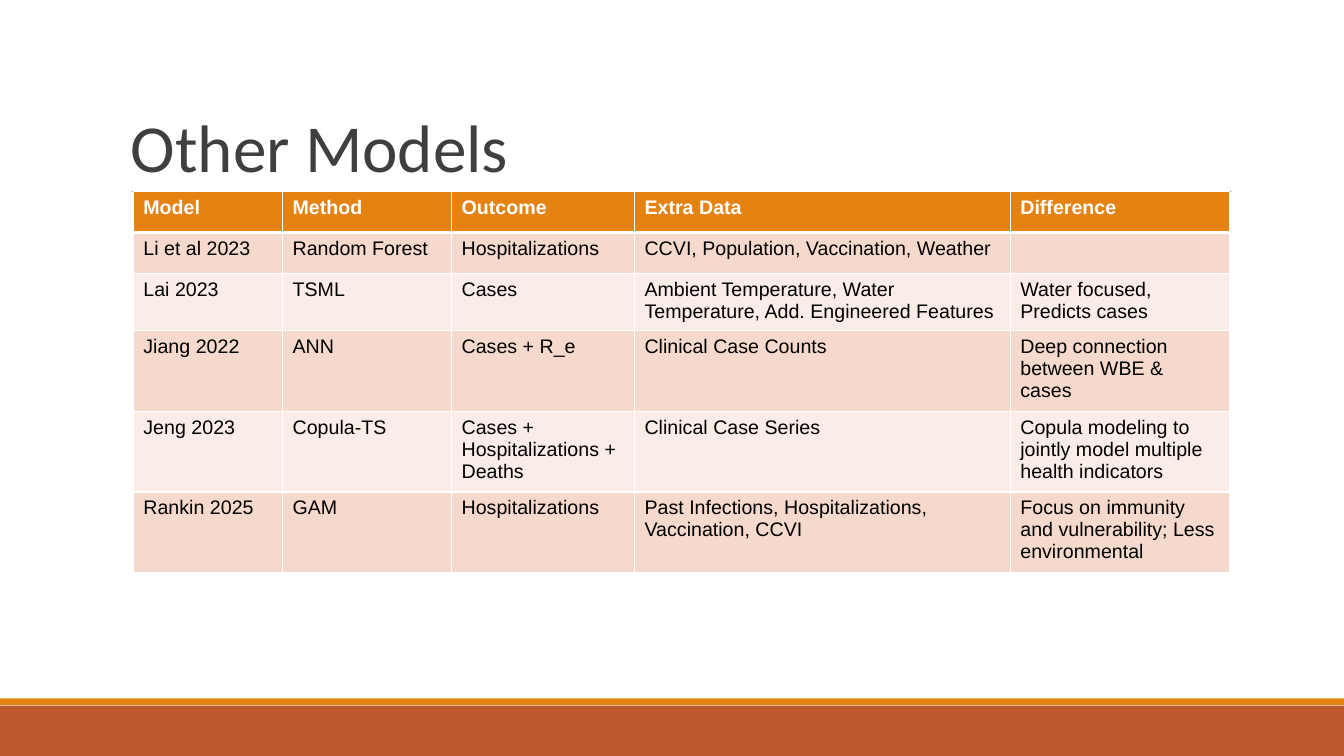
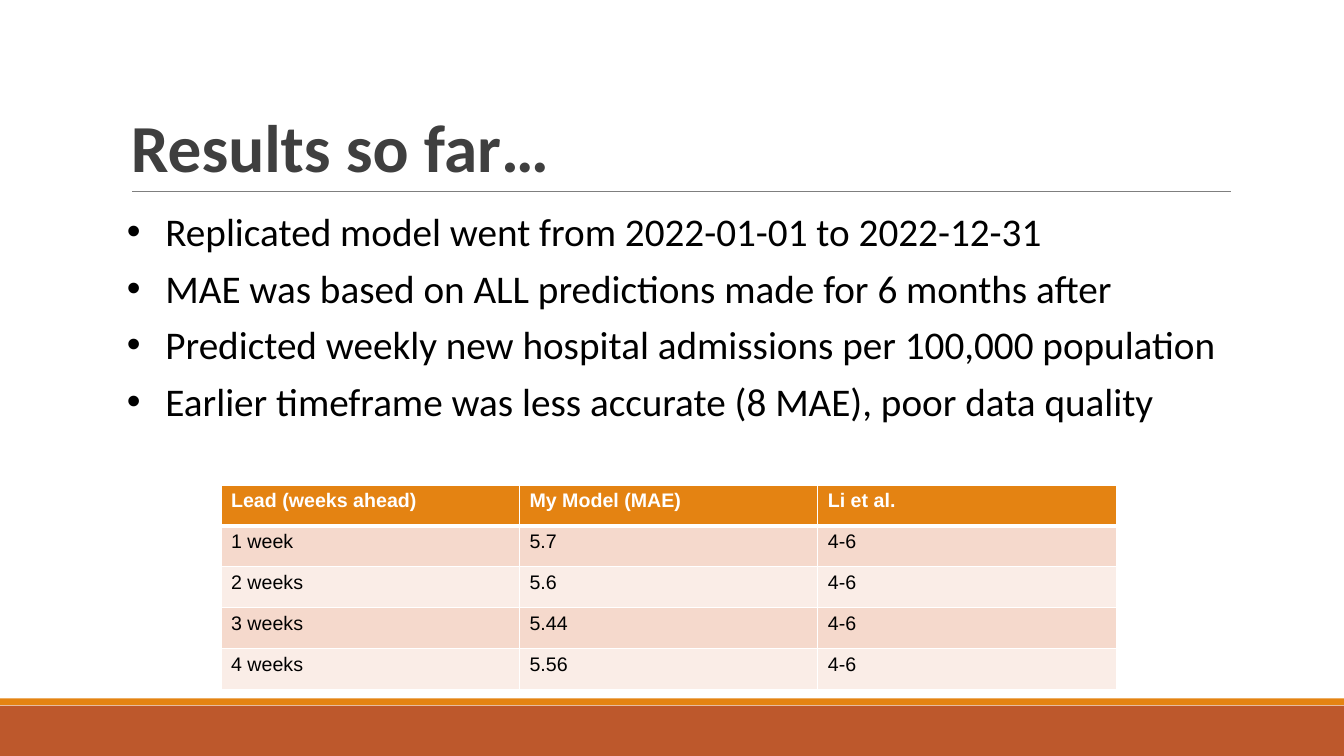
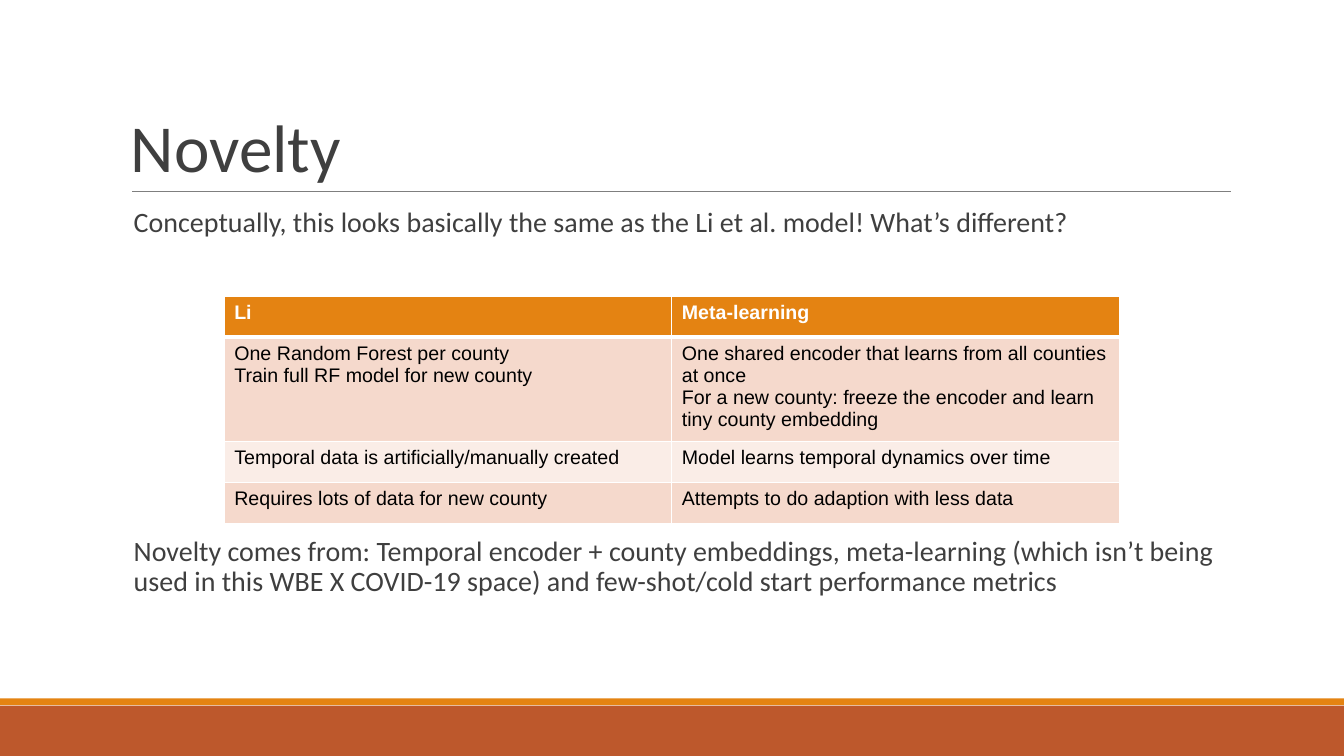
from lxml.etree import SubElement
from pptx import Presentation
from pptx.dml.color import RGBColor
from pptx.enum.shapes import MSO_CONNECTOR, MSO_SHAPE
from pptx.enum.text import MSO_ANCHOR
from pptx.oxml.ns import qn
from pptx.util import Cm, Pt

RUST = RGBColor(0xBD, 0x58, 0x2C)
ORANGE = RGBColor(0xE4, 0x83, 0x12)
GREY = RGBColor(0x7F, 0x7F, 0x7F)
CHARCOAL = RGBColor(0x3F, 0x3F, 0x3F)
BLACK = RGBColor(0, 0, 0)
WHITE = RGBColor(0xFF, 0xFF, 0xFF)
PEACH = RGBColor(0xF5, 0xD9, 0xCC)
BLUSH = RGBColor(0xFA, 0xED, 0xE7)

PAGE_WIDTH, PAGE_HEIGHT = Cm(33.87), Cm(19.05)
TEXT_LEFT, TEXT_WIDTH = Cm(3.05), Cm(27.94)
RULE_LEFT, RULE_RIGHT, RULE_TOP = Cm(3.33), Cm(31.01), Cm(4.83)
ROW_HEIGHT = Cm(1.03)

TITLE = {"name": "Calibri", "size": Pt(48), "bold": False}
BODY = {"name": "Calibri", "size": Pt(20)}
BULLET = {"name": "Calibri", "size": Pt(28)}
HEADER_CELL = {"name": "Arial", "size": Pt(14), "bold": True}
BODY_CELL = {"name": "Arial", "size": Pt(14), "bold": False}


def apply_format(target, values):
    for name, value in values.items():
        setattr(target, name, value)


def write_para(para, text, font_format, color):
    para.text = text
    for span in para.runs:
        apply_format(span.font, font_format)
        span.font.color.rgb = color


def add_text(page, area, lines, font_format, color, spacing, frame_format):
    box = page.shapes.add_textbox(*area)
    frame = box.text_frame
    apply_format(frame, {"word_wrap": True, **frame_format})
    for index, line in enumerate(lines):
        para = frame.add_paragraph() if index else frame.paragraphs[0]
        write_para(para, line, font_format, color)
        para.line_spacing = spacing
    return frame


def add_band(page, top, height, color):
    band = page.shapes.add_shape(MSO_SHAPE.RECTANGLE, 0, top, PAGE_WIDTH, height)
    band.shadow.inherit = False
    band.fill.solid()
    band.fill.fore_color.rgb = color
    band.line.fill.background()


def add_page(deck, title, **title_format):
    page = deck.slides.add_slide(deck.slide_layouts[6])
    add_band(page, Cm(17.78), PAGE_HEIGHT - Cm(17.78), RUST)
    add_band(page, Cm(17.6), Cm(0.17), ORANGE)
    rule = page.shapes.add_connector(
        MSO_CONNECTOR.STRAIGHT, RULE_LEFT, RULE_TOP, RULE_RIGHT, RULE_TOP)
    rule.line.color.rgb = GREY
    rule.line.width = Pt(0.75)
    SubElement(rule._element.spPr, qn("a:effectLst"))
    add_text(page, (TEXT_LEFT, Cm(0.79), TEXT_WIDTH, Cm(4.04)), [title],
             {**TITLE, **title_format}, CHARCOAL, 0.85,
             {"vertical_anchor": MSO_ANCHOR.BOTTOM})
    return page


def set_borders(cell, widths):
    properties = cell._tc.get_or_add_tcPr()
    for position, (side, width) in enumerate(widths.items()):
        edge = properties.makeelement(qn(f"a:{side}"), {"w": str(Pt(width))})
        fill = SubElement(edge, qn("a:solidFill"))
        SubElement(fill, qn("a:srgbClr"), val=str(WHITE))
        properties.insert(position, edge)


def add_grid(page, left, top, column_widths, rows):
    table = page.shapes.add_table(
        len(rows), len(column_widths), left, top,
        sum(column_widths), ROW_HEIGHT * len(rows)).table
    for column, width in zip(table.columns, column_widths):
        column.width = width
    for row_index, texts in enumerate(rows):
        table.rows[row_index].height = ROW_HEIGHT
        is_header = row_index == 0
        fill_color = ORANGE if is_header else (BLUSH, PEACH)[row_index % 2]
        borders = {"lnL": 1, "lnR": 1, "lnT": 3 if row_index == 1 else 1,
                   "lnB": 3 if is_header else 1}
        for cell, text in zip(table.rows[row_index].cells, texts):
            cell.fill.solid()
            cell.fill.fore_color.rgb = fill_color
            set_borders(cell, borders)
            write_para(cell.text_frame.paragraphs[0], text,
                       HEADER_CELL if is_header else BODY_CELL,
                       WHITE if is_header else BLACK)


def add_bullets(page, area, lines):
    margins = dict.fromkeys(
        ("margin_left", "margin_top", "margin_right", "margin_bottom"), Cm(0.15))
    frame = add_text(page, area, lines, BULLET, BLACK, 1.2,
                     {"vertical_anchor": MSO_ANCHOR.MIDDLE, **margins})
    for para in frame.paragraphs:
        properties = para._p.get_or_add_pPr()
        properties.set("marL", str(Cm(0.97)))
        properties.set("indent", str(-Cm(1.02)))
        color = SubElement(properties, qn("a:buClr"))
        SubElement(color, qn("a:srgbClr"), val=str(BLACK))
        SubElement(properties, qn("a:buFont"), typeface="Arial")
        SubElement(properties, qn("a:buChar"), char="•")


def add_statement(page, top, height, text):
    add_text(page, (TEXT_LEFT, top, TEXT_WIDTH, height), [text], BODY, CHARCOAL, 0.9,
             {"margin_left": Cm(0.32), "margin_right": 0})


def build_models(deck):
    page = add_page(deck, "Other Models")
    widths = [Cm(width) for width in (3.76, 4.26, 4.61, 9.47, 5.53)]
    add_grid(page, Cm(3.36), RULE_TOP, widths, [
        ("Model", "Method", "Outcome", "Extra Data", "Difference"),
        ("Li et al 2023", "Random Forest", "Hospitalizations",
         "CCVI, Population, Vaccination, Weather", ""),
        ("Lai 2023", "TSML", "Cases",
         "Ambient Temperature, Water Temperature, Add. Engineered Features",
         "Water focused, Predicts cases"),
        ("Jiang 2022", "ANN", "Cases + R_e", "Clinical Case Counts",
         "Deep connection between WBE & cases"),
        ("Jeng 2023", "Copula-TS", "Cases + Hospitalizations + Deaths",
         "Clinical Case Series",
         "Copula modeling to jointly model multiple health indicators"),
        ("Rankin 2025", "GAM", "Hospitalizations",
         "Past Infections, Hospitalizations, Vaccination, CCVI",
         "Focus on immunity and vulnerability; Less environmental"),
    ])


def build_results(deck):
    page = add_page(deck, "Results so far…", bold=True)
    add_grid(page, Cm(5.57), Cm(12.22), [Cm(7.52)] * 3, [
        ("Lead (weeks ahead)", "My Model (MAE)", "Li et al."),
        ("1 week", "5.7", "4-6"),
        ("2 weeks", "5.6", "4-6"),
        ("3 weeks", "5.44", "4-6"),
        ("4 weeks", "5.56", "4-6"),
    ])
    add_bullets(page, (TEXT_LEFT, RULE_TOP, TEXT_WIDTH, Cm(6.02)), [
        "Replicated model went from 2022-01-01 to 2022-12-31",
        "MAE was based on ALL predictions made for 6 months after",
        "Predicted weekly new hospital admissions per 100,000 population",
        "Earlier timeframe was less accurate (8 MAE), poor data quality",
    ])


def build_novelty(deck):
    page = add_page(deck, "Novelty")
    add_statement(
        page, Cm(5.13), Cm(1.1),
        "Conceptually, this looks basically the same as the Li et al. model! "
        "What’s different?")
    add_statement(
        page, Cm(13.42), Cm(1.9),
        "Novelty comes from: Temporal encoder + county embeddings, meta-learning "
        "(which isn’t being used in this WBE X COVID-19 space) and "
        "few-shot/cold start performance metrics")
    add_grid(page, Cm(5.65), Cm(7.47), [Cm(11.28)] * 2, [
        ("Li", "Meta-learning"),
        ("One Random Forest per county\nTrain full RF model for new county",
         "One shared encoder that learns from all counties at once\n"
         "For a new county: freeze the encoder and learn tiny county embedding"),
        ("Temporal data is artificially/manually created",
         "Model learns temporal dynamics over time"),
        ("Requires lots of data for new county",
         "Attempts to do adaption with less data"),
    ])


def main():
    deck = Presentation()
    apply_format(deck, {"slide_width": PAGE_WIDTH, "slide_height": PAGE_HEIGHT})
    for build in (build_models, build_results, build_novelty):
        build(deck)
    deck.save("out.pptx")


if __name__ == "__main__":
    main()
